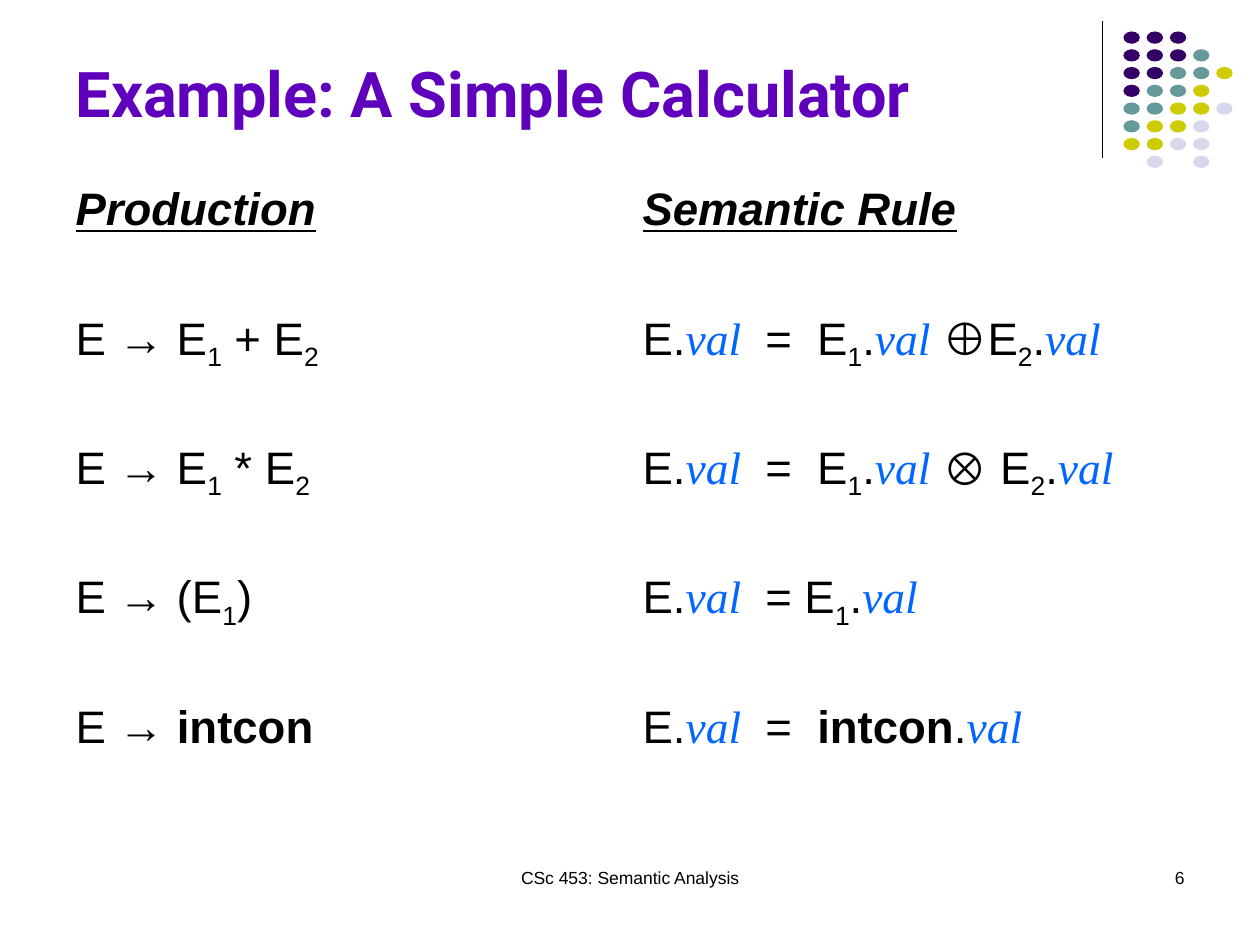
import pptx
import pptx.util
import pptx.dml.color
import pptx.enum.shapes
import pptx.enum.text
import pptx.oxml.ns
from lxml import etree

COLORS = {
    "black": "000000",
    "title": "5E00BC",
    "attribute": "0066FF",
    "P": "330066",
    "T": "669999",
    "Y": "CCCC00",
    "L": "D8D8EC",
}
COLUMNS, ROWS = 120, 90
DOT_ROWS = ["PPP", "PPPT", "PPTTY", "PTTY", "TTYYL", "TYYL", "YYLL", " L L"]
RUN_STYLES = {
    "_": {"baseline": -25000},
    "~": {"font": "Times New Roman", "color": "attribute", "italic": True},
    "^": {"bold": True},
    "!": {"bold": True, "italic": True, "underline": True},
}
RULES = [
    ("!Production", "!Semantic Rule"),
    ("E → E|_1| + E|_2", "E.|~val | =  E|_1|.|~val |⊕E|_2|.|~val"),
    ("E → E|_1| * E|_2", "E.|~val | =  E|_1|.|~val |⊗ E|_2|.|~val"),
    ("E → (E|_1|)", "E.|~val | = E|_1|.|~val"),
    ("E → |^intcon", "E.|~val | =  |^intcon|.|~val"),
]


def grid_box(presentation, left, top, width, height):
    """Turn grid columns and rows into slide lengths."""
    column = presentation.slide_width / COLUMNS
    row = presentation.slide_height / ROWS
    return [round(n * unit) for n, unit in
            ((left, column), (top, row), (width, column), (height, row))]


def rgb(name):
    """Look up a named colour."""
    return pptx.dml.color.RGBColor.from_string(COLORS[name])


def add_text(paragraph, text, size=26, font="Arial", color="black", bold=False,
             italic=False, underline=False, baseline=0):
    """Append one formatted run to a paragraph."""
    run = paragraph.add_run()
    run.text = text
    run.font.size = pptx.util.Pt(size)
    run.font.name = font
    run.font.color.rgb = rgb(color)
    run.font.bold = bold
    run.font.italic = italic
    run.font.underline = underline
    if baseline:
        run.font._element.set("baseline", str(baseline))


def add_title(slide, box, text):
    """Place and format the title placeholder."""
    title = slide.shapes.title
    title.left, title.top, title.width, title.height = box
    frame = title.text_frame
    frame.word_wrap = True
    frame.vertical_anchor = pptx.enum.text.MSO_ANCHOR.BOTTOM
    paragraph = frame.paragraphs[0]
    paragraph.alignment = pptx.enum.text.PP_ALIGN.LEFT
    add_text(paragraph, text, size=36, font="Roboto", color="title", bold=True)


def add_divider(slide, box):
    """Draw the vertical line beside the title."""
    left, top, width, height = box
    line = slide.shapes.add_connector(
        pptx.enum.shapes.MSO_CONNECTOR.STRAIGHT, left, top, left + width, top + height)
    line.line.color.rgb = rgb("black")
    line.line.width = pptx.util.Pt(0.75)
    etree.SubElement(line._element.spPr, pptx.oxml.ns.qn("a:effectLst"))


def add_dots(slide, box):
    """Fill the box with the grouped dot pattern."""
    left, top, width, height = box
    dot_width, dot_height = round(width * 0.15), round(height * 0.09)
    step_x = (width - dot_width) / 4
    step_y = (height - dot_height) / (len(DOT_ROWS) - 1)
    group = slide.shapes.add_group_shape()
    for row, pattern in enumerate(DOT_ROWS):
        for column, key in enumerate(pattern):
            if key == " ":
                continue
            dot = group.shapes.add_shape(
                pptx.enum.shapes.MSO_SHAPE.OVAL, round(left + column * step_x),
                round(top + row * step_y), dot_width, dot_height)
            dot.shadow.inherit = False
            dot.fill.solid()
            dot.fill.fore_color.rgb = rgb(key)
            dot.line.fill.background()


def add_rules(slide, box):
    """Build the table of productions and semantic rules."""
    table = slide.shapes.add_table(len(RULES), 2, *box).table
    table.first_row = False
    table.horz_banding = False
    for row, texts in enumerate(RULES):
        for column, text in enumerate(texts):
            cell = table.cell(row, column)
            cell.fill.background()
            paragraph = cell.text_frame.paragraphs[0]
            for part in text.split("|"):
                style = RUN_STYLES.get(part[0], {})
                add_text(paragraph, part[1:] if style else part, **style)


def add_footer(slide, box, text, alignment):
    """Add one footer text box."""
    frame = slide.shapes.add_textbox(*box).text_frame
    frame.word_wrap = True
    frame.paragraphs[0].alignment = alignment
    add_text(frame.paragraphs[0], text, size=10)


def main():
    """Build and save the slide."""
    presentation = pptx.Presentation()
    presentation.slide_width = pptx.util.Inches(10)
    presentation.slide_height = pptx.util.Inches(7.5)
    slide = presentation.slides.add_slide(presentation.slide_layouts[5])
    align = pptx.enum.text.PP_ALIGN
    add_divider(slide, grid_box(presentation, 105, 2, 0, 13))
    add_dots(slide, grid_box(presentation, 107, 3, 10.4, 13))
    add_footer(slide, grid_box(presentation, 41, 82, 38, 6),
               "CSc 453: Semantic Analysis", align.CENTER)
    add_footer(slide, grid_box(presentation, 86, 82, 28, 6), "6", align.RIGHT)
    add_title(slide, grid_box(presentation, 6, 1.5, 99, 11.5),
              "Example: A Simple Calculator")
    add_rules(slide, grid_box(presentation, 6, 17, 108, 61.6))
    presentation.save("out.pptx")


if __name__ == "__main__":
    main()
